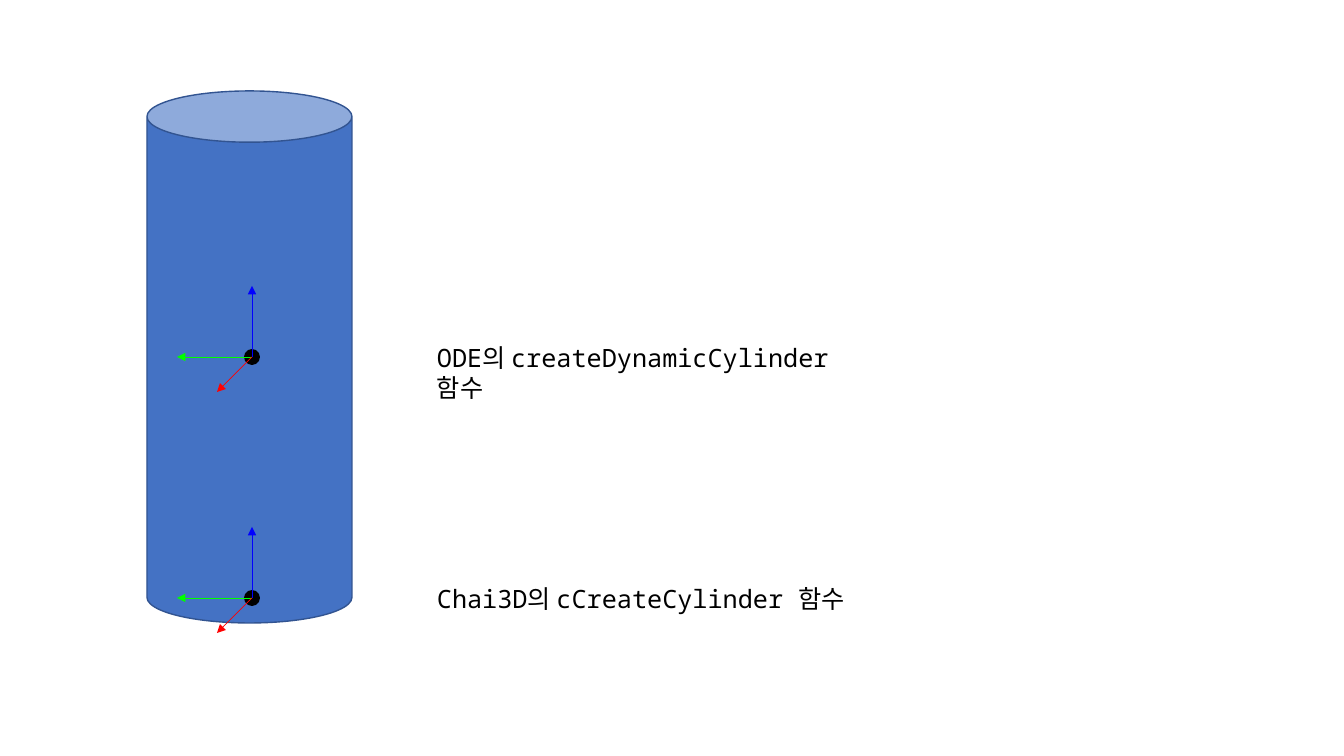
from dataclasses import dataclass

from lxml.etree import SubElement
from pptx import Presentation
from pptx.dml.color import RGBColor
from pptx.enum.shapes import MSO_CONNECTOR, MSO_SHAPE
from pptx.oxml.ns import qn
from pptx.util import Emu, Pt


@dataclass(frozen=True)
class Theme:
    cylinder: RGBColor = RGBColor(0x44, 0x72, 0xC4)
    outline: RGBColor = RGBColor(0x32, 0x54, 0x91)
    ink: RGBColor = RGBColor(0, 0, 0)
    x_axis: RGBColor = RGBColor(0xFF, 0, 0)
    y_axis: RGBColor = RGBColor(0, 0xFF, 0)
    z_axis: RGBColor = RGBColor(0, 0, 0xFF)
    font: str = "Noto Sans Mono"
    label_size: Pt = Pt(18)
    outline_width: Pt = Pt(1)
    axis_width: Pt = Pt(0.5)


theme = Theme()


def px(*lengths):
    return [Emu(round(length * 914400 / 100.8)) for length in lengths]


def add_filled(kind, box, fill):
    solid = slide.shapes.add_shape(kind, *px(*box))
    solid.shadow.inherit = False
    solid.fill.solid()
    solid.fill.fore_color.rgb = fill
    return solid


deck = Presentation()
deck.slide_width, deck.slide_height = px(1344, 756)
slide = deck.slides.add_slide(deck.slide_layouts[6])

cylinder = add_filled(MSO_SHAPE.CAN, (147, 91, 205, 532), theme.cylinder)
cylinder.line.color.rgb = theme.outline
cylinder.line.width = theme.outline_width

origin_x = 252
dot_radius = 8
origins = [
    (357, "ODE의 createDynamicCylinder 함수"),
    (598, "Chai3D의 cCreateCylinder 함수"),
]
axes = [
    (-75, 0, theme.y_axis),
    (-35, 35, theme.x_axis),
    (0, -71, theme.z_axis),
]

for origin_y, wording in origins:
    dot_box = (origin_x - dot_radius, origin_y - dot_radius, 2 * dot_radius, 2 * dot_radius)
    origin = add_filled(MSO_SHAPE.OVAL, dot_box, theme.ink)
    origin.line.fill.background()

    label = slide.shapes.add_textbox(*px(427, origin_y - 20, 466, 40))
    label.text_frame.word_wrap = True
    run = label.text_frame.paragraphs[0].add_run()
    run.text = wording
    run.font.name = theme.font
    run.font.size = theme.label_size
    run.font.color.rgb = theme.ink

for origin_y, _ in origins:
    frame = slide.shapes.add_group_shape()
    for dx, dy, color in axes:
        axis = frame.shapes.add_connector(
            MSO_CONNECTOR.STRAIGHT,
            *px(origin_x, origin_y, origin_x + dx, origin_y + dy),
        )
        axis.line.color.rgb = color
        axis.line.width = theme.axis_width
        SubElement(axis.line._get_or_add_ln(), qn("a:tailEnd"), type="triangle")
        SubElement(axis._element.spPr, qn("a:effectLst"))

deck.save("out.pptx")
